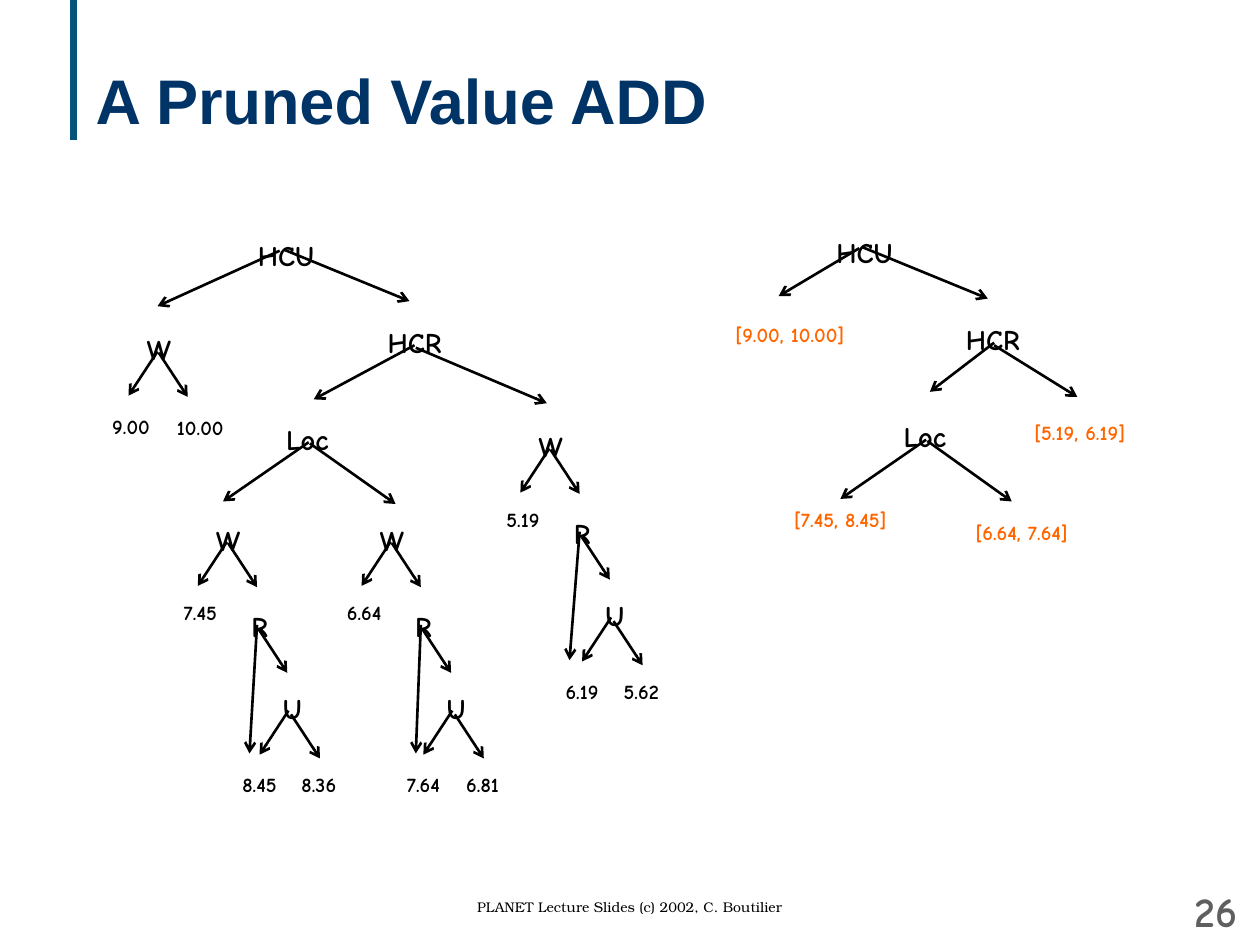
from dataclasses import dataclass

from lxml.etree import SubElement
from pptx import Presentation
from pptx.dml.color import RGBColor
from pptx.enum.shapes import MSO_CONNECTOR
from pptx.enum.text import MSO_ANCHOR, MSO_AUTO_SIZE, PP_ALIGN
from pptx.oxml.ns import qn
from pptx.util import Pt

PX = 9144  # 100 px to the inch


@dataclass(frozen=True)
class Theme:
    title_color: str = "003366"
    bar_color: str = "07547A"
    ink: str = "000000"
    interval_color: str = "FF6600"
    number_color: str = "5F5F5F"
    title_font: str = "Arial"
    tree_font: str = "Comic Neue"
    footer_font: str = "TeX Gyre Bonum"
    title_size: int = 36
    node_size: int = 28
    leaf_size: int = 20
    number_size: int = 24
    footer_size: int = 8
    arrow_width: float = 1.5
    bar_width: int = 4


theme = Theme()
presentation = Presentation()
presentation.slide_width = 1000 * PX
presentation.slide_height = 750 * PX
slide = presentation.slides.add_slide(presentation.slide_layouts[6])


def add_text(text, box, font, size, color, bold=True, align=PP_ALIGN.LEFT,
             anchor=MSO_ANCHOR.TOP, tree_label=False):
    """Tree labels are raised by 14 % and fit their box to an unwrapped line."""
    shape = slide.shapes.add_textbox(*(value * PX for value in box))
    frame = shape.text_frame
    frame.word_wrap = not tree_label
    frame.auto_size = MSO_AUTO_SIZE.SHAPE_TO_FIT_TEXT if tree_label else MSO_AUTO_SIZE.NONE
    frame.vertical_anchor = anchor
    paragraph = frame.paragraphs[0]
    paragraph.alignment = align
    run = paragraph.add_run()
    run.text = text
    run.font.name = font
    run.font.size = Pt(size)
    run.font.bold = bold
    run.font.color.rgb = RGBColor.from_string(color)
    if tree_label:
        run._r.get_or_add_rPr().set("baseline", "14000")


def add_line(ends, color, width, arrow=True):
    line = slide.shapes.add_connector(MSO_CONNECTOR.STRAIGHT, *(value * PX for value in ends))
    line.line.color.rgb = RGBColor.from_string(color)
    line.line.width = Pt(width)
    if arrow:
        SubElement(line.line._get_or_add_ln(), qn("a:tailEnd"), type="arrow")
    SubElement(line._element.spPr, qn("a:effectLst"))


add_line((58, 0, 58, 111), theme.bar_color, theme.bar_width, arrow=False)
add_text("A Pruned Value ADD", (66, 16, 892, 125), theme.title_font, theme.title_size,
         theme.title_color, anchor=MSO_ANCHOR.MIDDLE)

# Labels are (text, centre x, top); arrows are (from x, from y, to x, to y).
nodes = [
    ("HCU", 227, 173), ("W", 126, 248), ("HCR", 329, 242), ("Loc", 244, 319),
    ("HCU", 686, 171), ("HCR", 788, 240), ("Loc", 734, 317),
]
leaves = [("9.00", 104, 316), ("10.00", 159, 317)]
intervals = [
    ("[9.00, 10.00]", 627, 243), ("[5.19, 6.19]", 857, 321),
    ("[7.45, 8.45]", 667, 390), ("[6.64, 7.64]", 811, 400),
]
arrows = [
    (222, 199, 125, 243), (225, 198, 325, 239),
    (329, 274, 249, 317), (330, 276, 434, 320),
    (245, 351, 177, 398), (246, 352, 314, 400),
    (682, 197, 618, 235), (684, 196, 784, 237),
    (789, 272, 738, 311), (789, 274, 855, 315),
    (735, 349, 667, 396), (736, 350, 803, 398),
]

# The W-R-U chain hangs in three places; its parts are placed relative to W.
w_arrows = [(-1, 31, -24, 66), (0, 32, 23, 67)]
chain_arrows = w_arrows + [
    (24, 100, 47, 135), (48, 165, 25, 200), (50, 168, 73, 203),
]
chain_nodes = [("W", 0, 0), ("R", 25, 69), ("U", 51, 134)]
chain_leaves = [(-22, 65), (25, 201), (72, 201)]
# Each chain is (W centre x, W top, foot x of its long arrow, leaf values).
chains = [
    (181, 399, 198, ("7.45", "8.45", "8.36")),
    (311, 399, 330, ("6.64", "7.64", "6.81")),
    (437, 325, 452, ("5.19", "6.19", "5.62")),
]

for x, y, foot, values in chains:
    nodes += [(text, x + dx, y + dy) for text, dx, dy in chain_nodes]
    leaves += [(text, x + dx, y + dy) for text, (dx, dy) in zip(values, chain_leaves)]
    arrows.append((x + 23, y + 97, foot, y + 199))
placed_arrows = [(x, y, chain_arrows) for x, y, _, _ in chains] + [(126, 248, w_arrows)]
for x, y, offsets in placed_arrows:
    arrows += [(x + x1, y + y1, x + x2, y + y2) for x1, y1, x2, y2 in offsets]

label_widths = {
    "HCU": 68, "HCR": 66, "Loc": 58, "W": 42, "R": 36, "U": 38, "10.00": 60,
    "[9.00, 10.00]": 112, "[7.45, 8.45]": 100, "[6.64, 7.64]": 96, "[5.19, 6.19]": 96,
}
value_width = 52
label_groups = [
    (nodes, 57, theme.node_size, theme.ink),
    (leaves, 44, theme.leaf_size, theme.ink),
    (intervals, 44, theme.leaf_size, theme.interval_color),
]
for labels, height, size, color in label_groups:
    for text, center, top in labels:
        width = label_widths.get(text, value_width)
        add_text(text, (center - width // 2, top, width, height), theme.tree_font, size,
                 color, align=PP_ALIGN.CENTER, tree_label=True)
for ends in arrows:
    add_line(ends, theme.ink, theme.arrow_width)

add_text("PLANET Lecture Slides (c) 2002, C. Boutilier", (275, 708, 450, 25),
         theme.footer_font, theme.footer_size, theme.ink, bold=False, align=PP_ALIGN.CENTER)
add_text("26", (920, 703, 72, 40), theme.tree_font, theme.number_size, theme.number_color,
         align=PP_ALIGN.RIGHT, anchor=MSO_ANCHOR.MIDDLE)

presentation.save("out.pptx")
